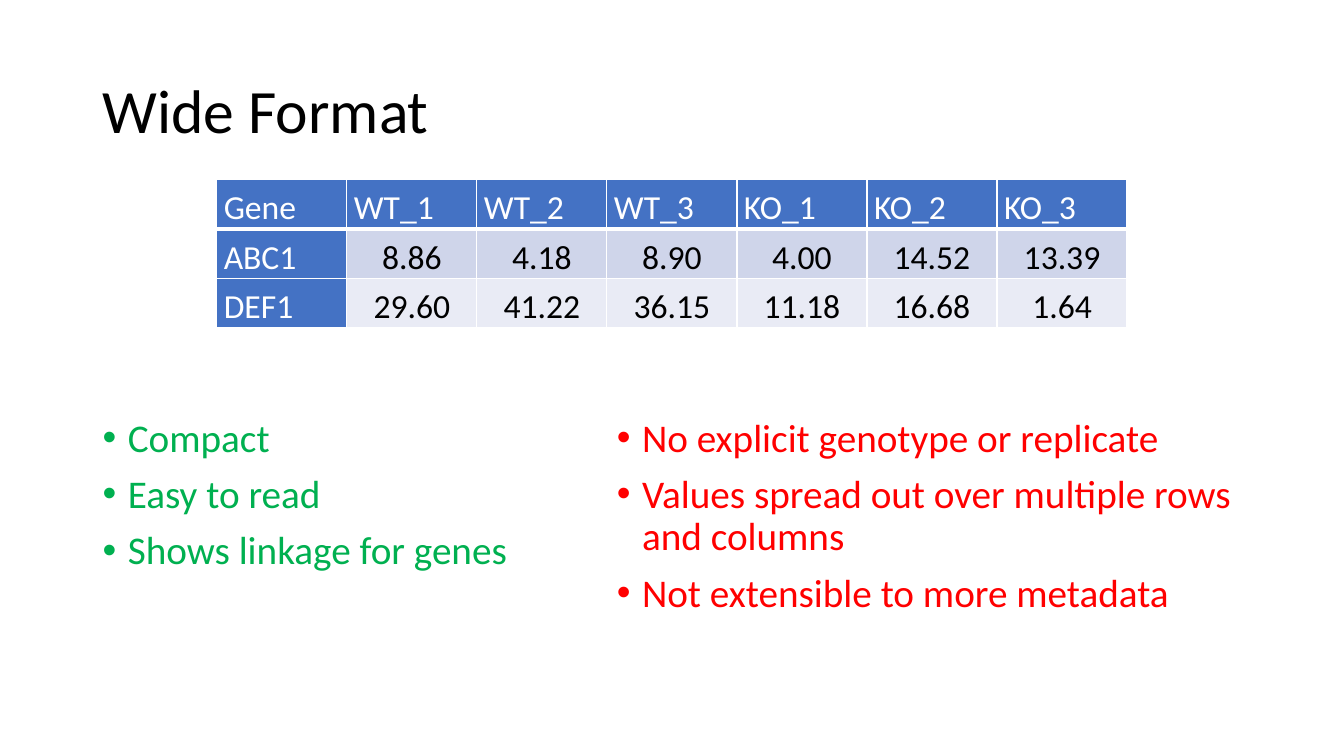
from lxml.etree import SubElement
from pptx import Presentation
from pptx.dml.color import RGBColor
from pptx.enum.text import MSO_ANCHOR, PP_ALIGN
from pptx.oxml.ns import qn
from pptx.util import Inches, Pt

FONT = "Calibri"
WHITE, BLACK, BLUE = "FFFFFF", "000000", "4472C4"
GREEN, RED = "00B050", "FF0000"
BANDS = ["CFD5EA", "E9EBF5"]
EXPRESSION = [
    ["Gene", "WT_1", "WT_2", "WT_3", "KO_1", "KO_2", "KO_3"],
    ["ABC1", "8.86", "4.18", "8.90", "4.00", "14.52", "13.39"],
    ["DEF1", "29.60", "41.22", "36.15", "11.18", "16.68", "1.64"],
]
ADVANTAGES = ["Compact", "Easy to read", "Shows linkage for genes"]
DRAWBACKS = [
    "No explicit genotype or replicate",
    "Values spread out over multiple rows and columns",
    "Not extensible to more metadata",
]


def rgb(color):
    """Turn a hex string into a colour."""
    return RGBColor.from_string(color)


def add_text(paragraph, text, size, color, spacing):
    """Add one styled run to a paragraph."""
    paragraph.line_spacing = spacing
    run = paragraph.add_run()
    run.text = text
    run.font.name = FONT
    run.font.size = Pt(size)
    run.font.bold = False
    run.font.color.rgb = rgb(color)


def add_frame(slide, box):
    """Add a wrapping text box and return its text frame."""
    frame = slide.shapes.add_textbox(*map(Inches, box)).text_frame
    frame.word_wrap = True
    return frame


def add_title(slide, box, title):
    """Place the slide title, centred vertically in its box."""
    frame = add_frame(slide, box)
    frame.vertical_anchor = MSO_ANCHOR.MIDDLE
    add_text(frame.paragraphs[0], title, 44, BLACK, 0.9)


def add_bullets(slide, box, points, color):
    """Place a bulleted list in one colour."""
    frame = add_frame(slide, box)
    for index, point in enumerate(points):
        paragraph = frame.add_paragraph() if index else frame.paragraphs[0]
        properties = paragraph._p.get_or_add_pPr()
        properties.set("marL", str(Inches(0.25)))
        properties.set("indent", str(Inches(-0.25)))
        SubElement(properties, qn("a:buFont"), typeface="Arial")
        SubElement(properties, qn("a:buChar"), char="•")
        if index:
            paragraph.space_before = Pt(10)
        add_text(paragraph, point, 28, color, 0.9)


def add_borders(cell, bottom_width):
    """Draw white borders around a cell."""
    properties = cell._tc.get_or_add_tcPr()
    for side, width in zip("LRTB", (1, 1, 1, bottom_width)):
        line = SubElement(properties, qn(f"a:ln{side}"), w=str(Pt(width)))
        fill = SubElement(line, qn("a:solidFill"))
        SubElement(fill, qn("a:srgbClr"), val=WHITE)


def fill_cell(cell, text, row, column):
    """Style a cell as header or value by its place in the grid."""
    is_header = row == 0 or column == 0
    cell.margin_left = cell.margin_right = Inches(0.07)
    cell.margin_top = cell.margin_bottom = 0
    cell.vertical_anchor = MSO_ANCHOR.BOTTOM
    add_borders(cell, 1 if row else 3)
    cell.fill.solid()
    cell.fill.fore_color.rgb = rgb(BLUE if is_header else BANDS[row - 1])
    paragraph = cell.text_frame.paragraphs[0]
    paragraph.alignment = PP_ALIGN.LEFT if is_header else PP_ALIGN.CENTER
    add_text(paragraph, text, 24, WHITE if is_header else BLACK, 1.2)


def add_expression_table(slide, box, rows):
    """Place the gene table with equal rows and columns."""
    table = slide.shapes.add_table(
        len(rows), len(rows[0]), *map(Inches, box)).table
    table.first_col = True
    for row, values in enumerate(rows):
        for column, value in enumerate(values):
            fill_cell(table.cell(row, column), value, row, column)


def main():
    """Build the slide and save it."""
    presentation = Presentation()
    presentation.slide_width = Inches(13.33)
    presentation.slide_height = Inches(7.5)
    slide = presentation.slides.add_slide(presentation.slide_layouts[6])
    add_title(slide, (0.92, 0.4, 11.5, 1.45), "Wide Format")
    add_bullets(slide, (0.92, 4.1, 4.78, 1.87), ADVANTAGES, GREEN)
    add_bullets(slide, (6.02, 4.1, 6.73, 2.41), DRAWBACKS, RED)
    add_expression_table(slide, (2.15, 1.78, 9.03, 1.47), EXPRESSION)
    presentation.save("out.pptx")


if __name__ == "__main__":
    main()
